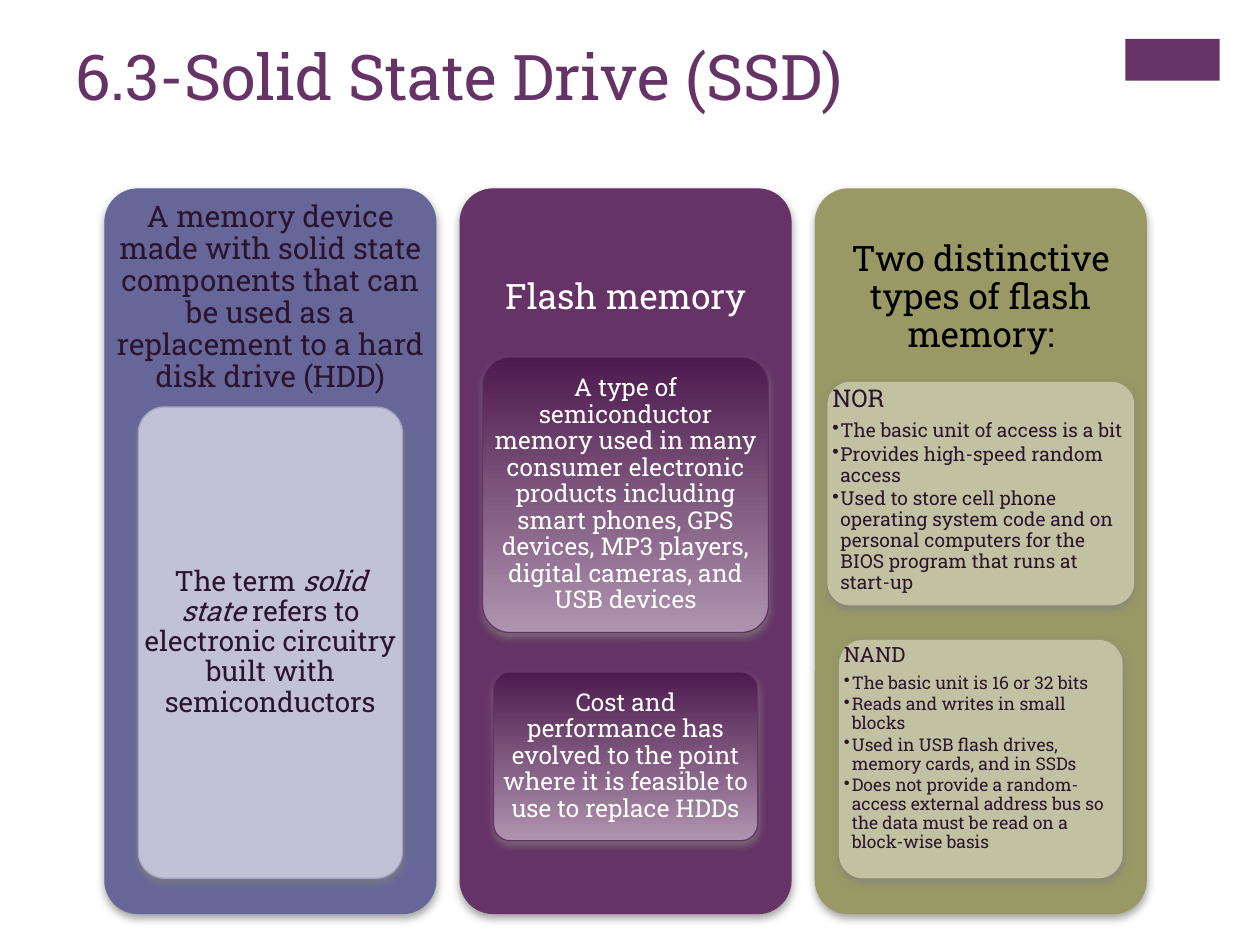
from lxml import etree
from pptx import Presentation
from pptx.dml.color import RGBColor
from pptx.enum.shapes import MSO_SHAPE
from pptx.enum.text import MSO_ANCHOR, MSO_AUTO_SIZE, PP_ALIGN
from pptx.oxml import parse_xml
from pptx.oxml.ns import qn
from pptx.util import Pt

ROUND, RECT = MSO_SHAPE.ROUNDED_RECTANGLE, MSO_SHAPE.RECTANGLE
TOP, MIDDLE = MSO_ANCHOR.TOP, MSO_ANCHOR.MIDDLE
LEFT, CENTER = PP_ALIGN.LEFT, PP_ALIGN.CENTER
FIXED = MSO_AUTO_SIZE.NONE

THEME = {
    "font": "Roboto Slab",
    "plum": "663366", "blue": "666699", "olive": "999966",
    "mist": "C2C2D6", "edge": "A3A3C2", "sand": "C2C2A3",
    "deep": "4D1A4D", "pale": "AF94AF",
    "ink": "2B142D", "white": "FFFFFF", "black": "000000",
    "title": 36, "head": 20, "long": 17, "term": 16, "body": 14,
    "nor": (14, 11), "nand": (12, 10),
}
SHADOW = """<a:effectLst xmlns:a="http://schemas.openxmlformats.org/drawingml/2006/main">
<a:outerShdw blurRad="63500" dist="25400" dir="5400000" algn="ctr" rotWithShape="0">
<a:srgbClr val="808080"><a:alpha val="75000"/></a:srgbClr></a:outerShdw></a:effectLst>"""


def color(name):
    return RGBColor.from_string(THEME[name])


def write(slide, box, lines, sizes, ink, inset):
    frame = slide.shapes.add_textbox(*map(Pt, box)).text_frame
    listed = len(lines) > 1
    frame.word_wrap = True
    frame.auto_size = FIXED
    frame.vertical_anchor = TOP if listed else MIDDLE
    frame.margin_left = frame.margin_right = Pt(inset)
    frame.margin_top = frame.margin_bottom = Pt(2 if listed else inset)
    for row, line in enumerate(lines):
        para = frame.add_paragraph() if row else frame.paragraphs[0]
        size = sizes[min(row, 1)]
        para.alignment = LEFT if listed else CENTER
        para.line_spacing = 0.9
        para.space_after = Pt(size * (0.15 if row else 0.35))
        if row:
            para.level = 1
            props = para._p.get_or_add_pPr()
            props.set("marL", str(Pt(4.5)))
            props.set("indent", str(-Pt(4.5)))
            etree.SubElement(props, qn("a:buChar")).set("char", "•")
        for part, words in enumerate(line.split("|")):
            run = para.add_run()
            run.text = words
            run.font.name = THEME["font"]
            run.font.size = Pt(size)
            run.font.italic = part % 2 == 1
            run.font.color.rgb = color(ink)


deck = Presentation()
deck.slide_width, deck.slide_height = Pt(720), Pt(540)
slide = deck.slides.add_slide(deck.slide_layouts[5])

bar = slide.shapes.add_shape(RECT, Pt(643), Pt(22.3), Pt(54), Pt(23.8))
bar.shadow.inherit = False
bar.fill.solid()
bar.fill.fore_color.rgb = color("plum")
bar.line.fill.background()

title = slide.shapes.title
title.left, title.top, title.width, title.height = map(Pt, (36, 18, 595, 70))
frame = title.text_frame
frame.text = "6.3-Solid State Drive (SSD)"
frame.vertical_anchor = TOP
frame.auto_size = FIXED
para = frame.paragraphs[0]
para.alignment = LEFT
font = para.runs[0].font
font.name, font.size = THEME["font"], Pt(THEME["title"])
font.color.rgb = color("plum")

COLUMNS = [
    ("blue", "A memory device made with solid state components that can be used as a "
     "replacement to a hard disk drive (HDD)", "long", "ink", 5,
     ("mist", "edge", "ink"), [
         (232.6, 151, 269.3, (THEME["term"],),
          ["The term |solid state |refers to electronic circuitry built with semiconductors"]),
     ]),
    ("plum", "Flash memory", "head", "white", 6,
     ("fade", "plum", "white"), [
         (204, 163.4, 157.5, (THEME["body"],),
          ["A type of semiconductor memory used in many consumer electronic products "
           "including smart phones, GPS devices, MP3 players, digital cameras, and USB devices"]),
         (384, 151, 96.5, (THEME["body"],),
          ["Cost and performance has evolved to the point where it is feasible to use "
           "to replace HDDs"]),
     ]),
    ("olive", "Two distinctive types of flash memory:", "head", "black", 6,
     ("sand", "sand", "ink"), [
         (218.6, 174.6, 127, THEME["nor"],
          ["NOR",
           "The basic unit of access is a bit",
           "Provides high-speed random access",
           "Used to store cell phone operating system code and on personal computers "
           "for the BIOS program that runs at start-up"]),
         (366, 161.4, 135.6, THEME["nand"],
          ["NAND",
           "The basic unit is 16 or 32 bits",
           "Reads and writes in small blocks",
           "Used in USB flash drives, memory cards, and in SSDs",
           "Does not provide a random-access external address bus so the data must be "
           "read on a block-wise basis"]),
     ]),
]
WIDE = 189
for spot, (fill, head, size, ink, inset, style, cards) in enumerate(COLUMNS):
    left = 60 + 203 * spot
    panels = [((left, 108, WIDE, 414), fill, fill,
               (left, 108, WIDE, 124.5), [head], (THEME[size],), ink, inset)]
    for top, width, height, sizes, lines in cards:
        box = (left + (WIDE - width) / 2, top, width, height)
        panels.append((box, style[0], style[1], box, lines, sizes, style[2], 2.5))
    for box, paint, edge, *words in panels:
        shape = slide.shapes.add_shape(ROUND, *map(Pt, box))
        shape.adjustments[0] = 0.1
        if paint == "fade":
            shape.fill.gradient()
            shape.fill.gradient_angle = 270
            for stop, name, place in zip(shape.fill.gradient_stops, ("deep", "pale"), (0, 1)):
                stop.color.rgb = color(name)
                stop.position = place
        else:
            shape.fill.solid()
            shape.fill.fore_color.rgb = color(paint)
        shape.line.color.rgb = color(edge)
        shape.line.width = Pt(0.75)
        shape._element.spPr.append(parse_xml(SHADOW))
        write(slide, *words)

deck.save("out.pptx")
